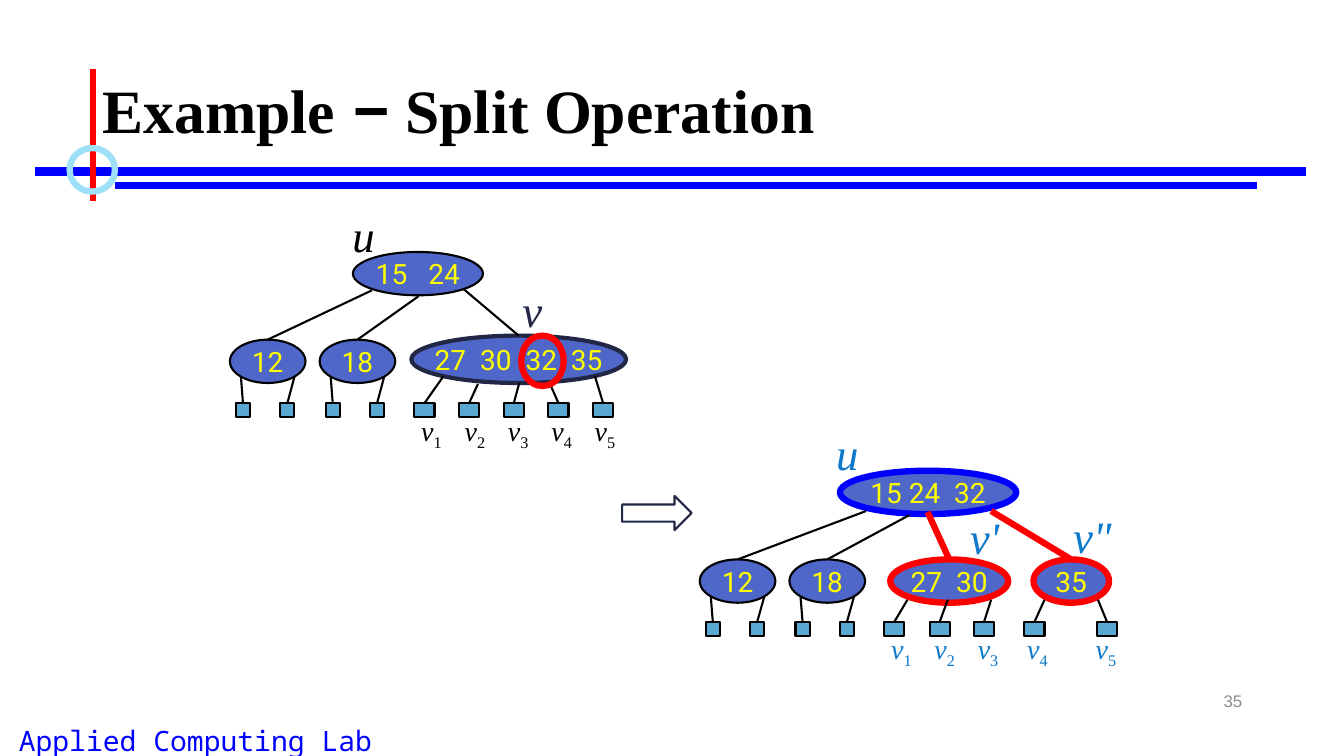
import pptx
import pptx.util
import pptx.dml.color
import pptx.enum.shapes
import pptx.enum.text
import pptx.oxml.ns
from lxml import etree

Inches, Pt = pptx.util.Inches, pptx.util.Pt
SHAPE = pptx.enum.shapes.MSO_SHAPE
STRAIGHT = pptx.enum.shapes.MSO_CONNECTOR.STRAIGHT
ALIGN = pptx.enum.text.PP_ALIGN
ANCHOR = pptx.enum.text.MSO_ANCHOR

COLORS = {
    "black": "000000", "blue": "0000FF", "red": "FF0000", "sky": "9EE0F8",
    "gray": "8C8C8C", "node": "4E67C8", "leaf": "59A8D1", "yellow": "FFFF00",
    "navy": "212745", "label": "0D79CA",
}
SERIF = "Times New Roman"
LEAF_W, LEAF_H = 0.2, 0.14


class SlideBuilder:
    def __init__(self, slide):
        self.s = slide

    def color(self, name):
        return pptx.dml.color.RGBColor.from_string(COLORS[name])

    def font(self, r, size, color, face, bold=False, italic=False):
        r.font.size, r.font.name = Pt(size), face
        r.font.bold, r.font.italic = bold, italic
        r.font.color.rgb = self.color(color)

    def shape(self, kind, x, y, w, h, fill=None, line="black", width=1.5):
        sp = self.s.shapes.add_shape(kind, Inches(x), Inches(y), Inches(w), Inches(h))
        sp.shadow.inherit = False
        if fill:
            sp.fill.solid()
            sp.fill.fore_color.rgb = self.color(fill)
        else:
            sp.fill.background()
        sp.line.color.rgb = self.color(line)
        sp.line.width = Pt(width)
        return sp

    def line(self, x1, y1, x2, y2, color="black", width=1.5, end=None):
        """Draw a line; when end is given, join it to the top of that shape."""
        c = self.s.shapes.add_connector(
            STRAIGHT, Inches(x1), Inches(y1), Inches(x2), Inches(y2))
        c.line.color.rgb = self.color(color)
        c.line.width = Pt(width)
        etree.SubElement(c._element.spPr, pptx.oxml.ns.qn("a:effectLst"))
        if end is not None:
            c.end_connect(end, 0)
        return c

    def text(self, x, y, w, h, parts, size, color, face=SERIF, align=ALIGN.CENTER,
             anchor=ANCHOR.TOP, wrap=True, bold=False, italic=False):
        sp = self.s.shapes.add_textbox(Inches(x), Inches(y), Inches(w), Inches(h))
        tf = sp.text_frame
        tf.word_wrap, tf.vertical_anchor = wrap, anchor
        p = tf.paragraphs[0]
        p.alignment = align
        for part in parts:
            r = p.add_run()
            r.text = part
            self.font(r, size, color, face, bold, italic)
        return p

    def node(self, x, y, w, keys, h=0.43, line="black", width=1.5):
        sp = self.shape(SHAPE.OVAL, x, y, w, h, "node", line, width)
        tf = sp.text_frame
        tf.text = keys
        tf.word_wrap, tf.vertical_anchor = False, ANCHOR.MIDDLE
        p = tf.paragraphs[0]
        p.alignment = ALIGN.CENTER
        self.font(p.runs[0], 20, "yellow", "Roboto")
        return sp

    def leaf(self, x, y, foot_x, foot_y, w=LEAF_W):
        sp = self.shape(SHAPE.RECTANGLE, x, y, w, LEAF_H, "leaf")
        self.line(foot_x, foot_y, x + w / 2, y, end=sp)

    def small_node(self, x, y, keys, parent_x, parent_y, leaf_y):
        sp = self.node(x, y, 0.75, keys)
        self.line(parent_x, parent_y, x + 0.375, y, end=sp)
        for leaf_dx, foot_dx in ((0.06, 0.11), (0.5, 0.64)):
            self.leaf(x + leaf_dx, leaf_y, x + foot_dx, y + 0.37, LEAF_H)

    def leaf_label(self, x, y, number, color):
        p = self.text(x, y, 0.56, 0.43, ("v", str(number)), 20, color, italic=True)
        sub = p.runs[1].font
        sub.italic = False
        sub._element.set("baseline", "-25000")

    def node_label(self, x, y, w, name, color):
        self.text(x, y, w, 0.63, (name,), 32, color, wrap=False, italic=True)


def main():
    prs = pptx.Presentation()
    prs.slide_width, prs.slide_height = Inches(13.33), Inches(7.5)
    b = SlideBuilder(prs.slides.add_slide(prs.slide_layouts[6]))

    # Frame, footer and title
    b.text(-0.58, 7.13, 5.04, 0.43, ("Applied Computing Lab",), 20, "blue",
           "Noto Sans Mono")
    b.line(0.35, 1.7, 12.95, 1.7, "blue", 6)
    b.line(1.14, 1.84, 12.47, 1.84, "blue", 4.5)
    b.line(0.92, 0.68, 0.92, 1.99, "red", 4.5)
    b.shape(SHAPE.OVAL, 0.69, 1.47, 0.45, 0.43, line="sky", width=4.5)
    b.text(9.42, 6.75, 3, 0.4, ("35",), 12, "gray", "Arial", ALIGN.RIGHT,
           ANCHOR.MIDDLE)
    p = b.text(0.92, 0.4, 11.5, 1.45, ("Example ", "–", " Split Operation"), 44,
               "black", align=ALIGN.LEFT, anchor=ANCHOR.MIDDLE, bold=True)
    p.line_spacing = 0.9
    p.runs[1].font.name = "Roboto"

    # Tree before the split
    b.node(3.5, 2.5, 1.29, "15   24")
    b.small_node(2.28, 3.37, "12", 3.69, 2.88, 4)
    b.small_node(3.17, 3.37, "18", 4.15, 2.94, 4)
    v = b.node(4.08, 3.33, 2.13, "27  30  32  35", 0.47, "navy", 3)
    b.line(4.6, 2.87, 5.15, 3.33, end=v)
    feet = ((4.4, 3.73), (4.74, 3.81), (5.15, 3.8), (5.46, 3.82), (5.9, 3.73))
    for i, (foot_x, foot_y) in enumerate(feet):
        b.leaf(4.11 + 0.443 * i, 4, foot_x, foot_y)
        b.leaf_label(4 + 0.43 * i, 4.05, i + 1, "black")
    b.node_label(5.08, 2.76, 0.4, "v", "navy")
    b.node_label(3.39, 2.01, 0.43, "u", "black")

    # Tree after the split
    b.node(8.33, 4.67, 1.75, "15 24  32", line="blue", width=4.5)
    b.small_node(6.94, 5.55, "12", 8.59, 5.07, 6.17)
    b.small_node(7.83, 5.55, "18", 9.02, 5.11, 6.17)
    split_nodes = ((8.83, 1.17, "27  30", 9.2, 5.08), (10.25, 0.75, "35", 9.83, 5.07))
    for x, w, keys, parent_x, parent_y in split_nodes:
        sp = b.node(x, 5.55, w, keys, line="red", width=4.5)
        b.line(parent_x, parent_y, x + w / 2, 5.55, "red", 4.5, end=sp)
    split_leaves = ((8.77, 9, 8.66), (9.22, 9.4, 9.09), (9.66, 9.83, 9.52),
                    (10.16, 10.36, 10.01), (10.88, 10.89, 10.69))
    for i, (x, foot_x, label_x) in enumerate(split_leaves):
        b.leaf(x, 6.17, foot_x, 5.95)
        b.leaf_label(label_x, 6.22, i + 1, "label")
    b.node_label(9.52, 5.01, 0.49, "v'", "label")
    b.node_label(8.19, 4.17, 0.43, "u", "label")
    b.node_label(10.5, 5, 0.67, 'v"', "label")

    # Transition arrow and the key that moves up
    b.shape(SHAPE.RIGHT_ARROW, 6.17, 4.92, 0.69, 0.34, line="navy")
    b.shape(SHAPE.OVAL, 5.17, 3.33, 0.42, 0.5, line="red", width=4.5)

    prs.save("out.pptx")


if __name__ == "__main__":
    main()
